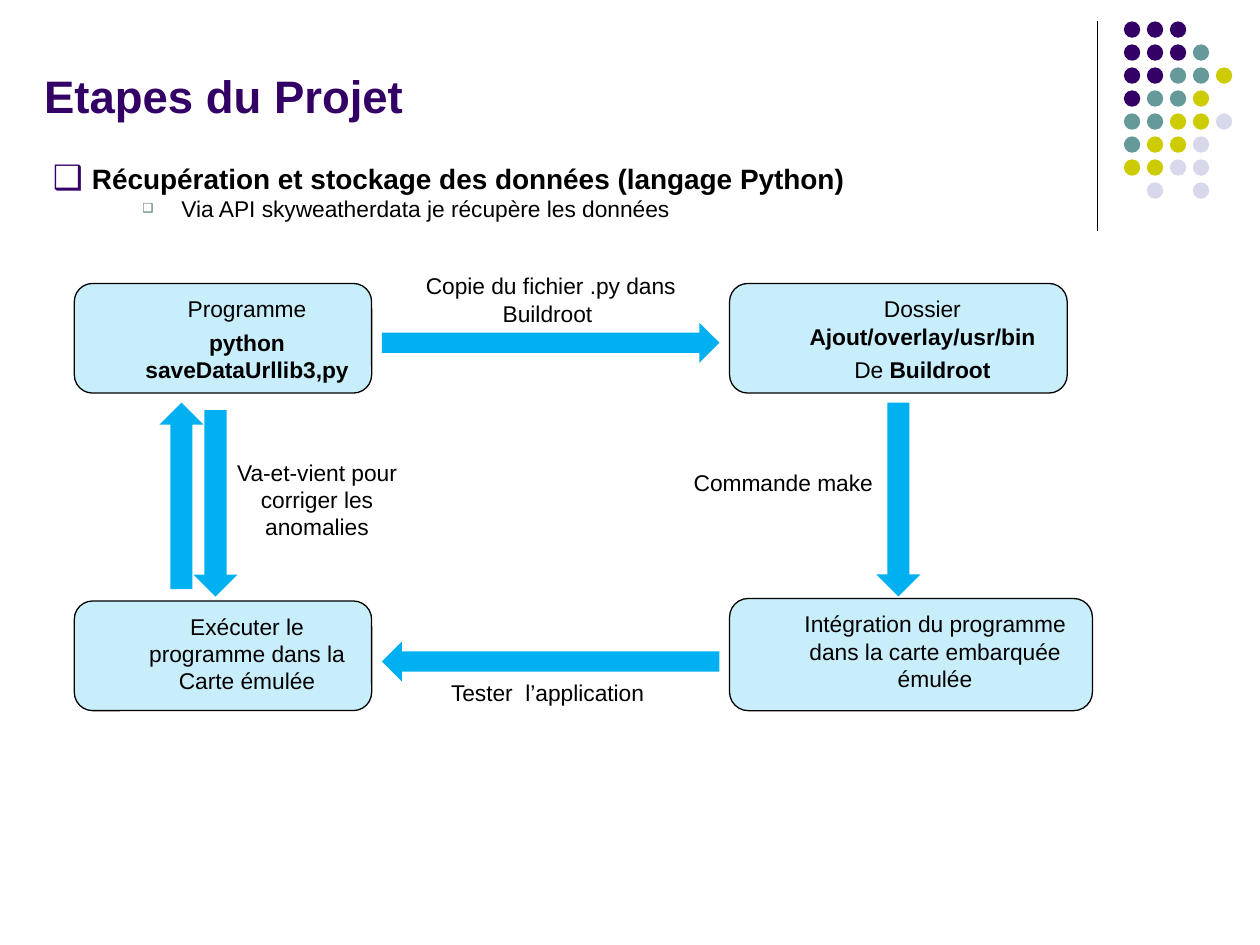
from lxml.etree import SubElement
from pptx import Presentation
from pptx.dml.color import RGBColor
from pptx.enum.shapes import MSO_CONNECTOR, MSO_SHAPE
from pptx.enum.text import MSO_ANCHOR, MSO_AUTO_SIZE, PP_ALIGN
from pptx.oxml.ns import qn
from pptx.util import Inches, Pt

PURPLE = RGBColor(0x33, 0x00, 0x66)
TEAL = RGBColor(0x66, 0x99, 0x99)
DARK_TEAL = RGBColor(0x4D, 0x73, 0x73)
OLIVE = RGBColor(0xCC, 0xCC, 0x00)
LAVENDER = RGBColor(0xD8, 0xD8, 0xEC)
SKY = RGBColor(0x00, 0xB0, 0xF0)
BLACK = RGBColor(0x00, 0x00, 0x00)

DOT_ROWS = ["PPP", "PPPT", "PPTTO", "PTTO", "TTOOL", "TOOL", "OOLL", " L L"]
DOT_COLOURS = {"P": PURPLE, "T": TEAL, "O": OLIVE, "L": LAVENDER}


def place(shape, left, top, width, height):
    shape.left, shape.top = Inches(left), Inches(top)
    shape.width, shape.height = Inches(width), Inches(height)


def style_run(run, size, colour=BLACK, bold=False):
    run.font.name = "Arial"
    run.font.size = Pt(size)
    run.font.bold = bold
    run.font.color.rgb = colour


def add_corner_dots(slide, left, top, pitch, diameter):
    dots = slide.shapes.add_group_shape()
    for row, letters in enumerate(DOT_ROWS):
        for column, letter in enumerate(letters):
            if letter == " ":
                continue
            dot = dots.shapes.add_shape(
                MSO_SHAPE.OVAL, Inches(left + column * pitch),
                Inches(top + row * pitch), Inches(diameter), Inches(diameter))
            dot.shadow.inherit = False
            dot.fill.solid()
            dot.fill.fore_color.rgb = DOT_COLOURS[letter]
            dot.line.fill.background()


def add_divider(slide, x, top, bottom):
    divider = slide.shapes.add_connector(
        MSO_CONNECTOR.STRAIGHT, Inches(x), Inches(top), Inches(x), Inches(bottom))
    divider.line.color.rgb = BLACK
    divider.line.width = Pt(0.75)
    SubElement(divider._element.spPr, qn("a:effectLst"))


def fill_title(slide, left, top, width, height):
    title = slide.shapes.title
    place(title, left, top, width, height)
    frame = title.text_frame
    frame.text = "Etapes du Projet"
    frame.auto_size = MSO_AUTO_SIZE.NONE
    frame.vertical_anchor = MSO_ANCHOR.BOTTOM
    heading = frame.paragraphs[0]
    heading.alignment = PP_ALIGN.LEFT
    style_run(heading.runs[0], 26, PURPLE, True)


def set_bullet(paragraph, margin, colour, percent):
    properties = paragraph._p.get_or_add_pPr()
    properties.set("marL", str(Inches(margin)))
    properties.set("indent", str(Inches(-0.31)))
    bullet_colour = SubElement(properties, qn("a:buClr"))
    SubElement(bullet_colour, qn("a:srgbClr"), val=str(colour))
    SubElement(properties, qn("a:buSzPct"), val=str(percent * 1000))
    SubElement(properties, qn("a:buChar"), char="❑")


def fill_steps(slide, left, top, width, height):
    body = slide.placeholders[1]
    place(body, left, top, width, height)
    frame = body.text_frame
    frame.auto_size = MSO_AUTO_SIZE.NONE
    frame.text = ("Récupération et stockage des données (langage Python)\n"
                  "Via API skyweatherdata je récupère les données")
    step, detail = frame.paragraphs
    detail.level = 1
    set_bullet(step, 0.36, PURPLE, 120)
    set_bullet(detail, 1.07, DARK_TEAL, 55)
    step.space_before = detail.space_before = Pt(0)
    style_run(step.runs[0], 16, bold=True)
    style_run(detail.runs[0], 13)


def write_centred(frame, paragraphs, indent=0.0):
    frame.word_wrap = True
    frame.vertical_anchor = MSO_ANCHOR.TOP
    for index, parts in enumerate(paragraphs):
        paragraph = frame.paragraphs[0] if index == 0 else frame.add_paragraph()
        paragraph.alignment = PP_ALIGN.CENTER
        paragraph._p.get_or_add_pPr().set("marL", str(Inches(indent)))
        paragraph.space_before = Pt(3.5 if index else 0)
        for text, bold in parts:
            run = paragraph.add_run()
            run.text = text
            style_run(run, 13, bold=bold)


def add_stage(slide, left, top, width, height, paragraphs):
    stage = slide.shapes.add_shape(
        MSO_SHAPE.ROUNDED_RECTANGLE,
        Inches(left), Inches(top), Inches(width), Inches(height))
    stage.shadow.inherit = False
    stage.fill.solid()
    stage.fill.fore_color.rgb = SKY
    tint = stage._element.spPr.find(qn("a:solidFill")).find(qn("a:srgbClr"))
    SubElement(tint, qn("a:alpha"), val="21000")
    stage.line.color.rgb = BLACK
    stage.line.width = Pt(0.75)
    write_centred(stage.text_frame, paragraphs, 0.38)


def add_arrow(slide, left, top, width, height, rotation):
    arrow = slide.shapes.add_shape(
        MSO_SHAPE.RIGHT_ARROW,
        Inches(left), Inches(top), Inches(width), Inches(height))
    arrow.rotation = rotation
    arrow.shadow.inherit = False
    arrow.fill.solid()
    arrow.fill.fore_color.rgb = SKY
    arrow.line.fill.background()


def add_caption(slide, left, top, width, height, text):
    caption = slide.shapes.add_textbox(
        Inches(left), Inches(top), Inches(width), Inches(height))
    write_centred(caption.text_frame, [[(text, False)]])


def add_cycle(slide, left, top):
    right = left + 5.2
    stages = [
        (left, top, 2.36, 0.87,
         [[("Programme", False)], [("python saveDataUrllib3,py", True)]]),
        (right, top, 2.68, 0.87,
         [[("Dossier ", False), ("Ajout/overlay/usr/bin", True)],
          [("De ", False), ("Buildroot", True)]]),
        (right, top + 2.5, 2.88, 0.89,
         [[("Intégration du programme dans la carte embarquée émulée", False)]]),
        (left, top + 2.52, 2.36, 0.87,
         [[("Exécuter le programme dans la Carte émulée", False)]]),
    ]
    arrows = [
        (left + 2.44, top + 0.31, 2.68, 0.32, 0),
        (left + 5.77, top + 1.54, 1.54, 0.35, 90),
        (left + 2.44, top + 2.84, 2.68, 0.32, 180),
        (left + 0.11, top + 1.51, 1.48, 0.35, 270),
        (left + 0.38, top + 1.57, 1.48, 0.35, 90),
    ]
    captions = [
        (left + 2.68, top - 0.14, 2.2, 0.54, "Copie du fichier .py dans Buildroot "),
        (left + 4.8, top + 1.42, 1.65, 0.32, "Commande make"),
        (left + 2.68, top + 3.09, 2.2, 0.32, "Tester  l’application "),
        (left + 1.1, top + 1.34, 1.65, 0.75, "Va-et-vient pour corriger les anomalies"),
    ]
    for stage in stages:
        add_stage(slide, *stage)
    for arrow in arrows:
        add_arrow(slide, *arrow)
    for caption in captions:
        add_caption(slide, *caption)


def main():
    presentation = Presentation()
    presentation.slide_width = Inches(10)
    presentation.slide_height = Inches(7.5)
    slide = presentation.slides.add_slide(presentation.slide_layouts[1])
    add_divider(slide, 8.71, 0.17, 1.83)
    add_corner_dots(slide, 8.92, 0.17, 0.73 / 4, 0.13)
    fill_title(slide, 0.25, 0.36, 8.42, 0.66)
    fill_steps(slide, 0.27, 1.23, 8.39, 0.79)
    add_cycle(slide, 0.59, 2.25)
    presentation.save("out.pptx")


if __name__ == "__main__":
    main()
